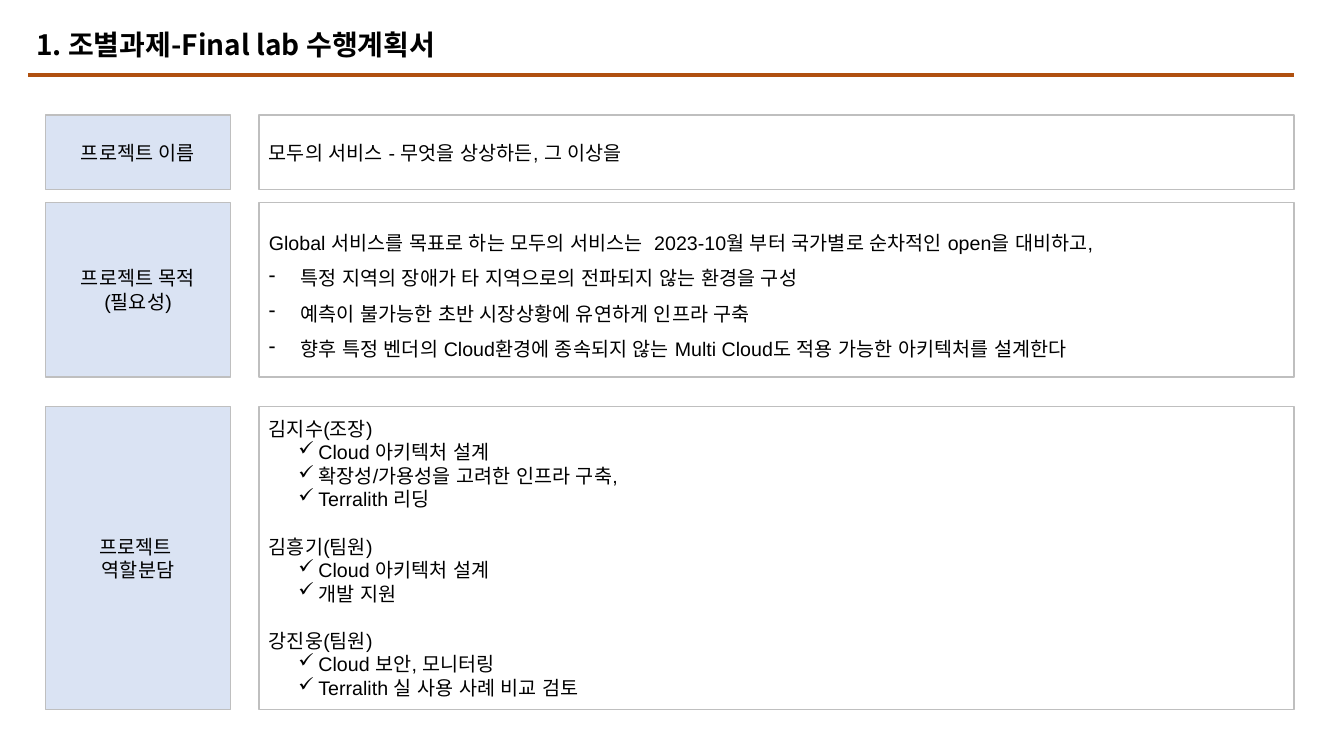
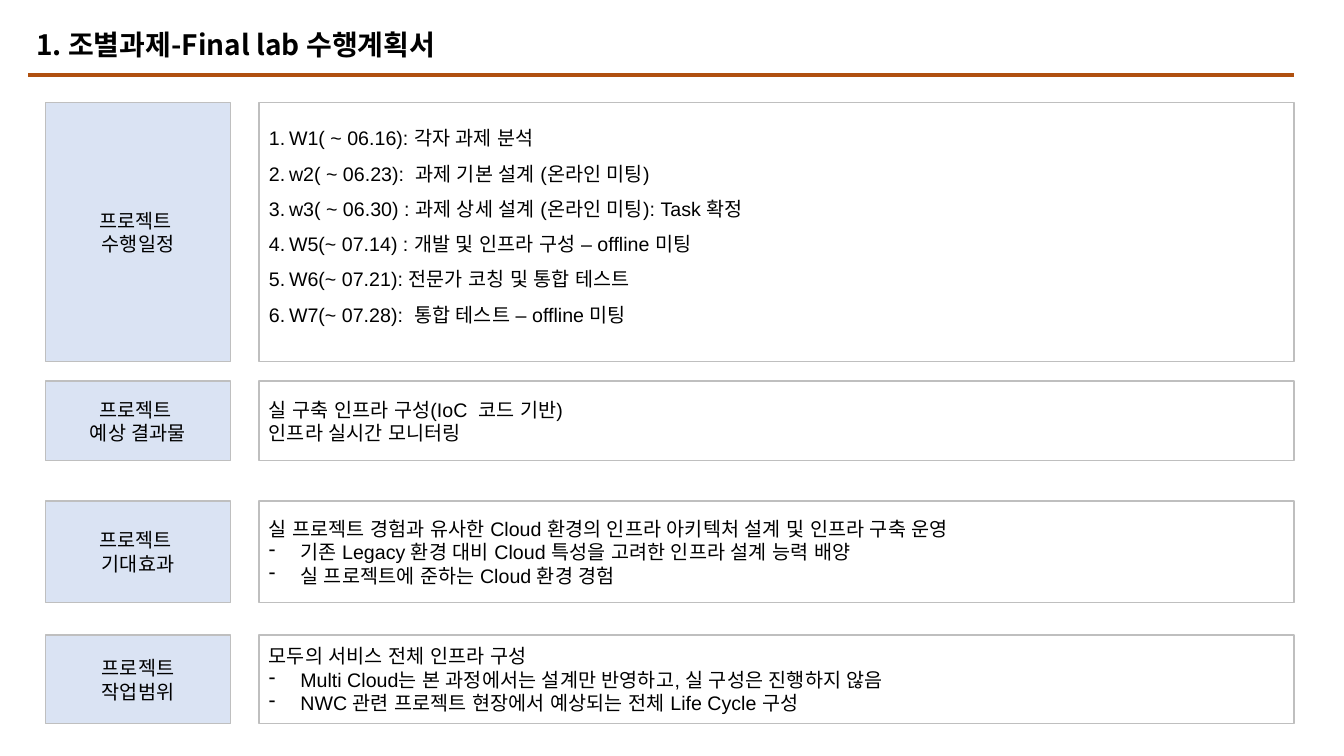
"""Build the two project plan slides."""
import copy

import pptx
import pptx.dml.color
import pptx.enum.shapes
import pptx.enum.text
import pptx.oxml.ns
import pptx.oxml.xmlchemy
import pptx.util
from lxml import etree

Pt = pptx.util.Pt
qn = pptx.oxml.ns.qn
ALIGN = pptx.enum.text.PP_ALIGN
MIDDLE = pptx.enum.text.MSO_ANCHOR.MIDDLE

TITLE = "1. 조별과제-Final lab 수행계획서"
LINE_HEIGHT = 16.9


def rgb(value):
    return pptx.dml.color.RGBColor.from_string(value)


class Deck:
    BLACK, WHITE, ACCENT = "000000", "FFFFFF", "B0500F"
    LABEL_FILL, BORDER = "DAE3F3", "BFBFBF"
    LABEL_X, LABEL_W = 32.4, 132.5
    BODY_X, BODY_W = 185, 739.4
    TITLE_FONT = {"name": "Noto Sans CJK KR", "size": Pt(20), "bold": True}
    BODY_FONT = {"name": "Arial", "size": Pt(14)}
    BULLETS = {
        "dash": (22.5, 22.5, "buChar", {"char": "-"}),
        "check": (35.4, 14.4, "buChar", {"char": "✓"}),
        "number": (14.4, 14.4, "buAutoNum", {"type": "arabicPeriod"}),
    }

    def __init__(self):
        self.prs = pptx.Presentation()
        self.prs.slide_width, self.prs.slide_height = Pt(960), Pt(540)
        self.s = None

    def slide(self, rows):
        self.s = self.prs.slides.add_slide(self.prs.slide_layouts[6])
        self.title(TITLE)
        self.rule(20.2, 924.5, 53.3)
        for row in rows:
            self.row(**row)

    def title(self, text):
        tf = self.s.shapes.add_textbox(Pt(18.7), Pt(13), Pt(916.6), Pt(40.3)).text_frame
        tf.word_wrap, tf.vertical_anchor = True, MIDDLE
        self.paragraph(tf.paragraphs[0], text, self.TITLE_FONT, {"line_spacing": 0.9})

    def rule(self, x1, x2, y):
        straight = pptx.enum.shapes.MSO_CONNECTOR.STRAIGHT
        line = self.s.shapes.add_connector(straight, Pt(x1), Pt(y), Pt(x2), Pt(y))
        line.line.color.rgb, line.line.width = rgb(self.ACCENT), Pt(3)
        etree.SubElement(line._element.spPr, qn("a:effectLst"))

    def box(self, x, y, w, h, fill):
        rectangle = pptx.enum.shapes.MSO_SHAPE.RECTANGLE
        sp = self.s.shapes.add_shape(rectangle, Pt(x), Pt(y), Pt(w), Pt(h))
        sp.shadow.inherit = False
        sp.fill.solid()
        sp.fill.fore_color.rgb = rgb(fill)
        sp.line.color.rgb, sp.line.width = rgb(self.BORDER), Pt(1)
        tf = sp.text_frame
        tf.word_wrap, tf.vertical_anchor = True, MIDDLE
        return tf

    def row(self, y, h, label, body, spacing=1, bottom=3.6):
        tf = self.box(self.LABEL_X, y, self.LABEL_W, h, self.LABEL_FILL)
        self.paragraph(tf.paragraphs[0], label, self.BODY_FONT, {"alignment": ALIGN.CENTER})
        tf = self.box(self.BODY_X, y, self.BODY_W, h, self.WHITE)
        tf.margin_bottom = Pt(bottom)
        p = None
        for kind, lines in body:
            for text in lines:
                p = tf.add_paragraph() if p else tf.paragraphs[0]
                layout = {"alignment": ALIGN.LEFT, "line_spacing": spacing}
                if kind == "spaced":
                    layout["space_before"] = Pt(LINE_HEIGHT)
                self.paragraph(p, text, self.BODY_FONT, layout)
                if kind in self.BULLETS:
                    self.bullet(p, *self.BULLETS[kind])

    def paragraph(self, p, text, font, layout):
        p.text = text
        for key, value in layout.items():
            setattr(p, key, value)
        for r in p.runs:
            for key, value in font.items():
                setattr(r.font, key, value)
            r.font.color.rgb = rgb(self.BLACK)
            r.font._element.get_or_change_to_solidFill()
            etree.SubElement(r.font._element, qn("a:ea"), typeface=font["name"])
        for br in p._p.findall(qn("a:br")):
            br.append(copy.deepcopy(p.runs[0].font._element))

    def bullet(self, p, left, hanging, tag, attributes):
        pPr = p._p.get_or_add_pPr()
        pPr.set("marL", str(Pt(left)))
        pPr.set("indent", str(-Pt(hanging)))
        color = etree.SubElement(pPr, qn("a:buClr"))
        etree.SubElement(color, qn("a:srgbClr"), val=self.BLACK)
        etree.SubElement(pPr, qn("a:" + tag), **attributes)


OVERVIEW = [
    {"y": 82.1, "h": 53.3, "label": "프로젝트 이름",
     "body": [("plain", ["모두의 서비스 - 무엇을 상상하든, 그 이상을"])]},
    {"y": 144.7, "h": 124.6, "label": "프로젝트 목적\v(필요성)", "spacing": 1.5,
     "body": [
         ("plain", ["Global 서비스를 목표로 하는 모두의 서비스는  2023-10월 부터 "
                    "국가별로 순차적인 open을 대비하고,"]),
         ("dash", ["특정 지역의 장애가 타 지역으로의 전파되지 않는 환경을 구성",
                   "예측이 불가능한 초반 시장상황에 유연하게 인프라 구축",
                   "향후 특정 벤더의 Cloud환경에 종속되지 않는 Multi Cloud도 "
                   "적용 가능한 아키텍처를 설계한다"])]},
    {"y": 290.2, "h": 216.7, "label": "프로젝트 \v역할분담",
     "body": [
         ("plain", ["김지수(조장)"]),
         ("check", ["Cloud 아키텍처 설계", "확장성/가용성을 고려한 인프라 구축,",
                    "Terralith 리딩"]),
         ("spaced", ["김흥기(팀원)"]),
         ("check", ["Cloud 아키텍처 설계", "개발 지원"]),
         ("spaced", ["강진웅(팀원)"]),
         ("check", ["Cloud 보안, 모니터링", "Terralith 실 사용 사례 비교 검토"])]},
]

SCHEDULE = [
    {"y": 73.4, "h": 185, "label": "프로젝트 \v수행일정", "spacing": 1.5,
     "bottom": 3.6 + LINE_HEIGHT,
     "body": [
         ("number", ["W1( ~ 06.16): 각자 과제 분석",
                     "w2( ~ 06.23):  과제 기본 설계 (온라인 미팅)",
                     "w3( ~ 06.30) : 과제 상세 설계 (온라인 미팅): Task 확정",
                     "W5(~ 07.14) : 개발 및 인프라 구성 – offline 미팅",
                     "W6(~ 07.21): 전문가 코칭 및 통합 테스트",
                     "W7(~ 07.28):  통합 테스트 – offline 미팅"])]},
    {"y": 272.2, "h": 56.9, "label": "프로젝트 \v예상 결과물",
     "body": [("plain", ["실 구축 인프라 구성(IoC  코드 기반)", "인프라 실시간 모니터링"])]},
    {"y": 357.8, "h": 72.7, "label": "프로젝트 \v기대효과",
     "body": [
         ("plain", ["실 프로젝트 경험과 유사한 Cloud 환경의 인프라 아키텍처 설계 및 "
                    "인프라 구축 운영"]),
         ("dash", ["기존 Legacy 환경 대비 Cloud 특성을 고려한 인프라 설계 능력 배양",
                   "실 프로젝트에 준하는 Cloud 환경 경험"])]},
    {"y": 453.6, "h": 63.4, "label": "프로젝트\v작업범위",
     "body": [
         ("plain", ["모두의 서비스 전체 인프라 구성"]),
         ("dash", ["Multi Cloud는 본 과정에서는 설계만 반영하고, 실 구성은 진행하지 않음",
                   "NWC 관련 프로젝트 현장에서 예상되는 전체 Life Cycle 구성"])]},
]

deck = Deck()
for rows in (OVERVIEW, SCHEDULE):
    deck.slide(rows)
deck.prs.save("out.pptx")
